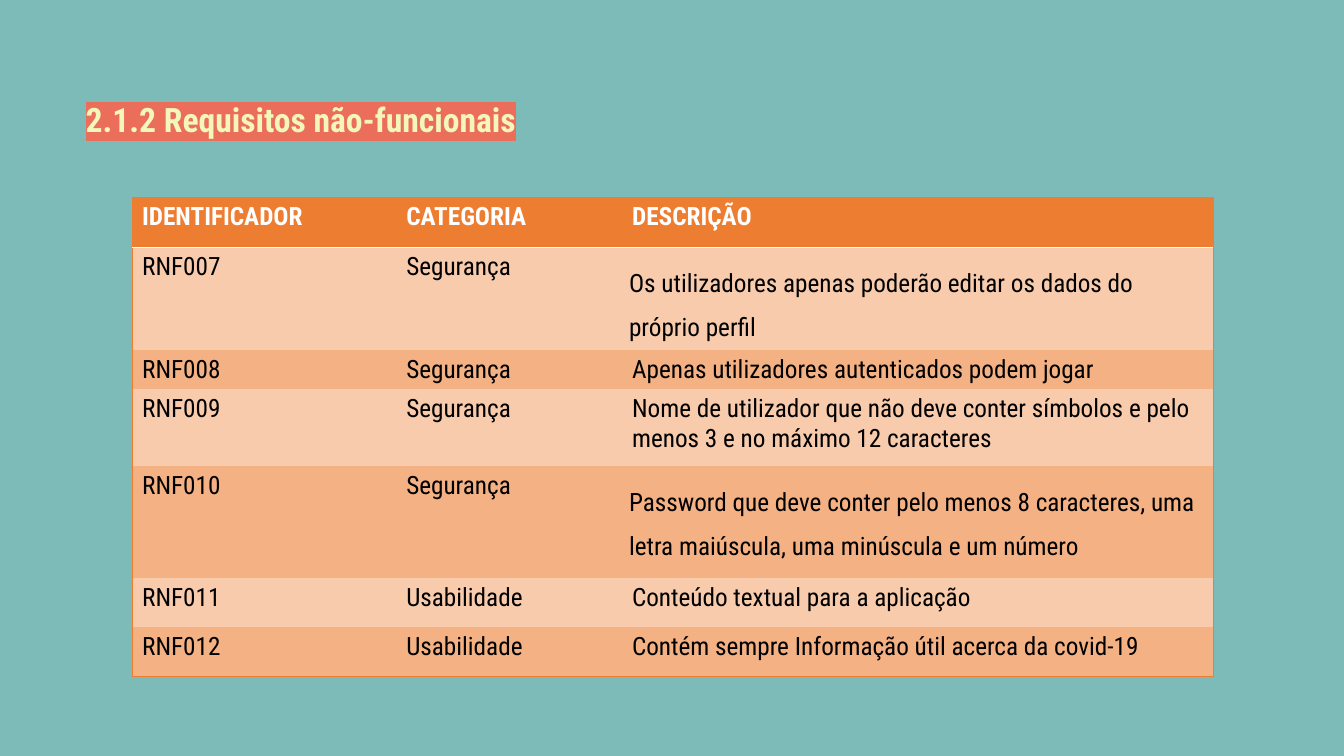
from lxml import etree
from pptx import Presentation, util as u
from pptx.dml.color import RGBColor
from pptx.enum import text
from pptx.oxml.ns import qn

COLOURS = {
    "background": "7DBBB8",
    "title": "F3F7BC",
    "highlight": "EB6E5B",
    "accent": "ED7D31",
    "light": "F8CBAD",
    "dark": "F4B183",
    "white": "FFFFFF",
    "black": "000000",
}
FONT = "Roboto Condensed"
NO_GRID_STYLE = "{2D5ABB26-0587-4C30-8999-92F81FD0307C}"
COLUMN_WIDTHS = (2.62, 2.24, 5.86)
ROW_HEIGHTS = (0.49, 0.55, 0.39, 0.76, 1.11, 0.49, 0.49)
SPACED_ROWS = (1, 4)
REQUIREMENTS = (
    ("IDENTIFICADOR", "CATEGORIA", "DESCRIÇÃO"),
    ("RNF007", "Segurança", "Os utilizadores apenas poderão editar os dados do próprio perfil"),
    ("RNF008", "Segurança", "Apenas utilizadores autenticados podem jogar"),
    ("RNF009", "Segurança",
     "Nome de utilizador que não deve conter símbolos e pelo menos 3 e no máximo 12 caracteres"),
    ("RNF010", "Segurança",
     "Password que deve conter pelo menos 8 caracteres, uma letra maiúscula, uma minúscula e um número"),
    ("RNF011", "Usabilidade", "Conteúdo textual para a aplicação"),
    ("RNF012", "Usabilidade", "Contém sempre Informação útil acerca da covid-19"),
)


def colour(name):
    return RGBColor.from_string(COLOURS[name])


def add_solid_fill(parent, name):
    fill = etree.SubElement(parent, qn("a:solidFill"))
    etree.SubElement(fill, qn("a:srgbClr"), val=COLOURS[name])


def format_font(font, size, name, bold):
    font.name, font.size, font.bold = FONT, u.Pt(size), bold
    font.color.rgb = colour(name)


def set_borders(cell, borders):
    properties = cell._tc.get_or_add_tcPr()
    sides = [side for side in ("lnL", "lnR", "lnT", "lnB") if side in borders]
    for position, side in enumerate(sides):
        line = etree.Element(qn(f"a:{side}"), w=str(u.Pt(0.25)))
        add_solid_fill(line, borders[side])
        properties.insert(position, line)


def add_title(slide, box, wording):
    title = slide.shapes.title
    title.left, title.top, title.width, title.height = map(u.Inches, box)
    frame = title.text_frame
    frame.vertical_anchor = text.MSO_ANCHOR.TOP
    frame.auto_size = text.MSO_AUTO_SIZE.NONE
    frame.word_wrap = True
    paragraph = frame.paragraphs[0]
    paragraph.alignment = text.PP_ALIGN.LEFT
    paragraph.line_spacing = 0.9
    paragraph.space_before = u.Pt(10)
    run = paragraph.add_run()
    run.text = wording
    format_font(run.font, 24, "title", True)
    highlight = etree.Element(qn("a:highlight"))
    etree.SubElement(highlight, qn("a:srgbClr"), val=COLOURS["highlight"])
    run._r.rPr.find(qn("a:solidFill")).addnext(highlight)


def fill_cell(cell, wording, row, column):
    header = row == 0
    last_column = len(COLUMN_WIDTHS) - 1
    spaced = row in SPACED_ROWS and column == last_column
    cell.text = wording
    cell.margin_left = cell.margin_right = u.Inches(0.07 if spaced else 0.1)
    cell.margin_top = cell.margin_bottom = u.Inches(0.07 if spaced else 0.05)
    paragraph = cell.text_frame.paragraphs[0]
    format_font(paragraph.font, 18, "white" if header else "black", header)
    if spaced:
        paragraph.line_spacing = 1.5
        paragraph.space_after = u.Pt(10)
    cell.fill.solid()
    cell.fill.fore_color.rgb = colour("accent" if header else "light" if row % 2 else "dark")
    borders = {}
    if column == 0:
        borders["lnL"] = "accent"
    if column == last_column:
        borders["lnR"] = "accent"
    if header:
        borders.update(lnT="accent", lnB="white")
    if row == len(ROW_HEIGHTS) - 1:
        borders["lnB"] = "accent"
    set_borders(cell, borders)


def add_requirements(slide, left, top):
    frame = slide.shapes.add_table(
        len(ROW_HEIGHTS), len(COLUMN_WIDTHS), u.Inches(left), u.Inches(top),
        u.Inches(sum(COLUMN_WIDTHS)), u.Inches(sum(ROW_HEIGHTS)))
    table = frame.table
    table._tbl.tblPr.find(qn("a:tableStyleId")).text = NO_GRID_STYLE
    table.horz_banding = False
    for column, width in zip(table.columns, COLUMN_WIDTHS):
        column.width = u.Inches(width)
    for row, height in zip(table.rows, ROW_HEIGHTS):
        row.height = u.Inches(height)
    for row, wordings in enumerate(REQUIREMENTS):
        for column, wording in enumerate(wordings):
            fill_cell(table.cell(row, column), wording, row, column)


def main():
    presentation = Presentation()
    presentation.slide_width, presentation.slide_height = u.Inches(13.33), u.Inches(7.5)
    slide = presentation.slides.add_slide(presentation.slide_layouts[5])
    slide.background.fill.solid()
    slide.background.fill.fore_color.rgb = colour("background")
    add_title(slide, (0.75, 0.98, 11.83, 1.21), "2.1.2 Requisitos não-funcionais")
    add_requirements(slide, 1.31, 1.96)
    presentation.save("out.pptx")


if __name__ == "__main__":
    main()
